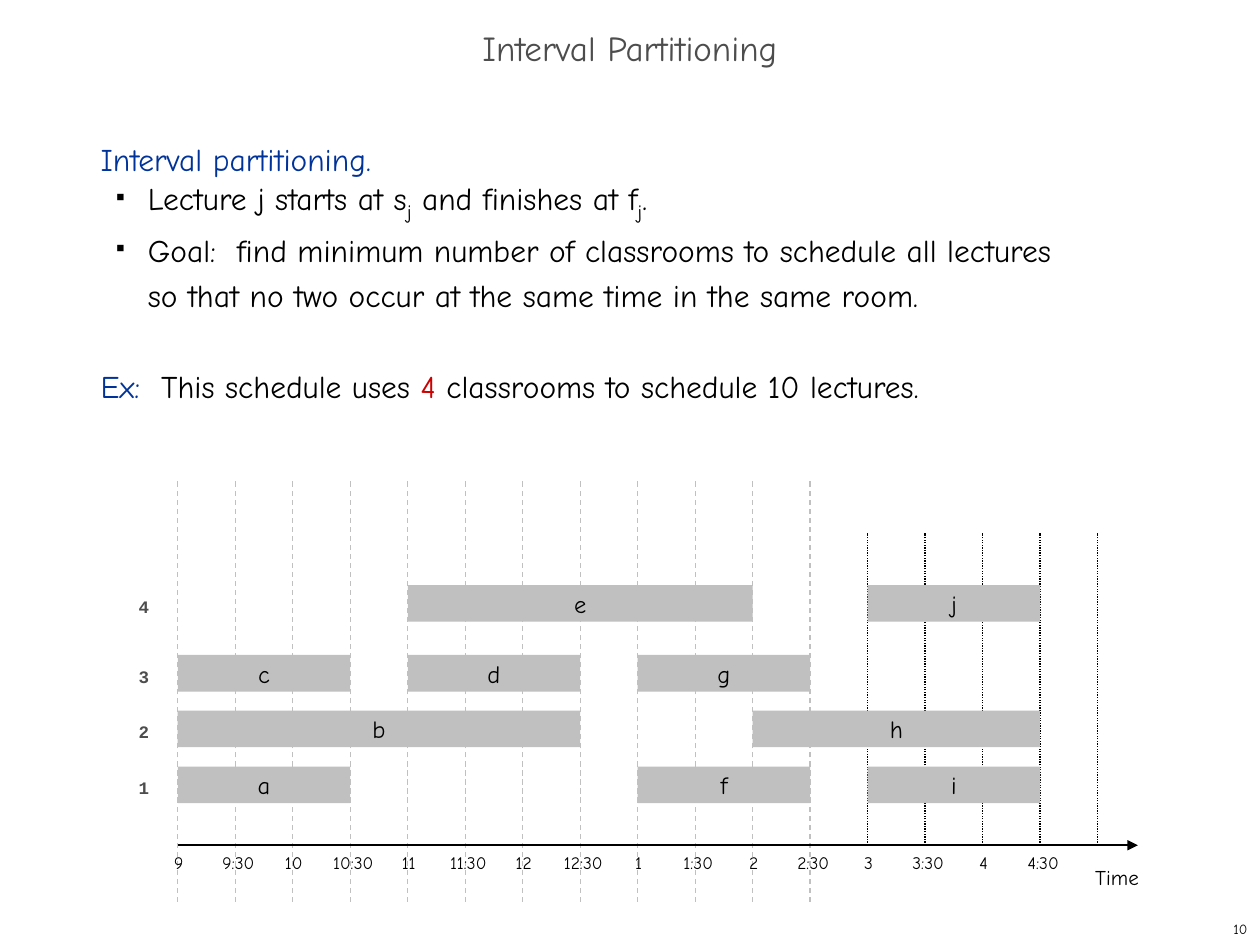
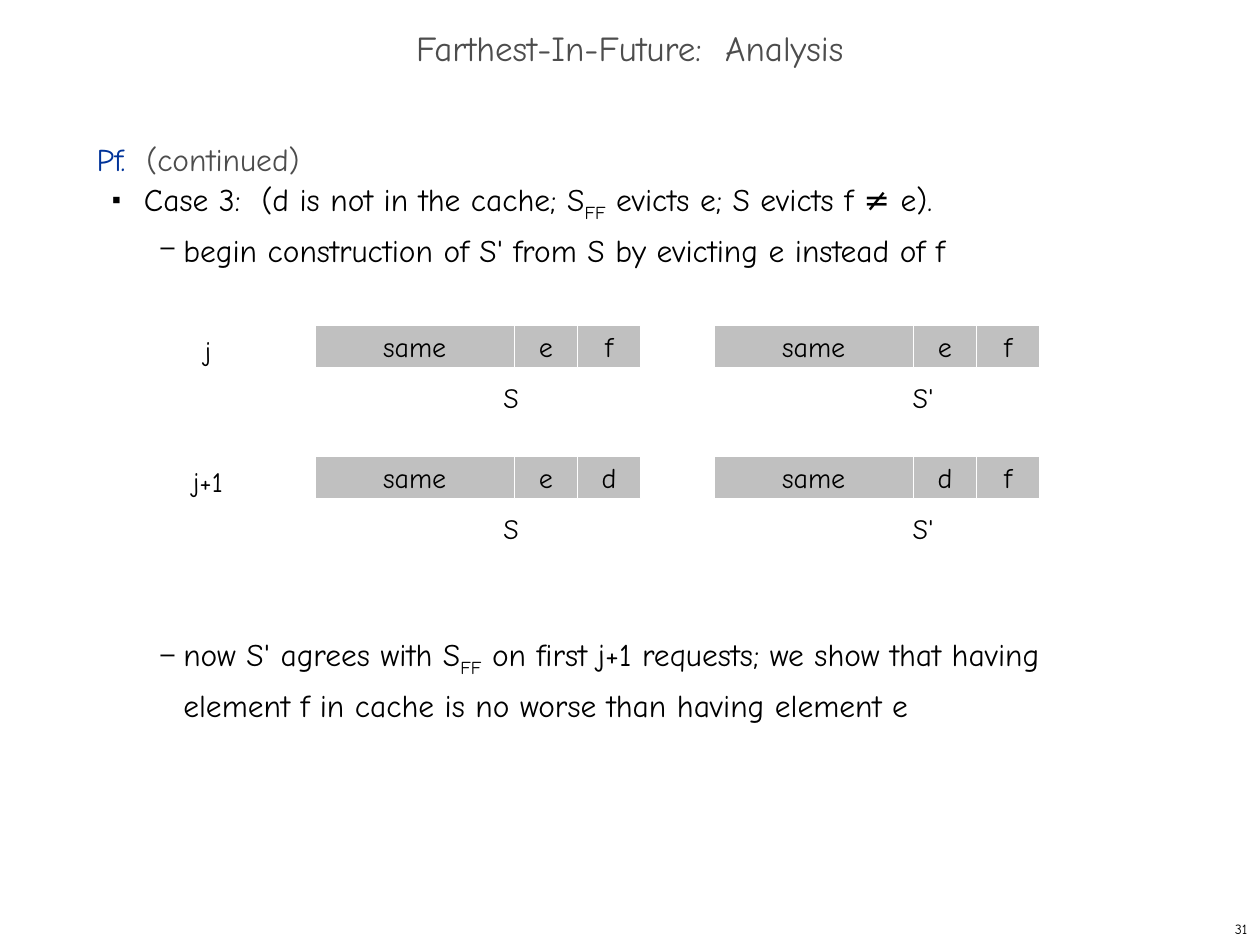
import pptx
import pptx.util
import pptx.dml.color
import pptx.enum.dml
import pptx.enum.shapes
import pptx.enum.text
import pptx.oxml.ns
from lxml import etree

Pt = pptx.util.Pt
RGBColor = pptx.dml.color.RGBColor
ALIGN = pptx.enum.text.PP_ALIGN
ANCHOR = pptx.enum.text.MSO_ANCHOR
DASH = pptx.enum.dml.MSO_LINE
qn = pptx.oxml.ns.qn

BLACK = RGBColor(0x00, 0x00, 0x00)
WHITE = RGBColor(0xFF, 0xFF, 0xFF)
GRAY = RGBColor(0x4D, 0x4D, 0x4D)
SILVER = RGBColor(0xC0, 0xC0, 0xC0)
BLUE = RGBColor(0x00, 0x33, 0x99)
RED = RGBColor(0xCC, 0x00, 0x00)

LINE_PITCH = 26
BULLETS = {1: ("■", 35, 27, -18), 2: ("–", 80, 49.5, -13)}

HOURS = ["9", "10", "11", "12", "1", "2", "3", "4"]
SLOT_WIDTH = 32.85
DASHED_SLOTS = 12
ROOM_TOPS = {4: 59.3, 3: 99.2, 2: 131, 1: 163}
LECTURES = [
    ("a", 1, 0, 3), ("b", 2, 0, 7), ("c", 3, 0, 3), ("d", 3, 4, 7),
    ("e", 4, 4, 10), ("f", 1, 8, 11), ("g", 3, 8, 11), ("h", 2, 10, 15),
    ("i", 1, 12, 15), ("j", 4, 12, 15),
]
CACHE_WIDTHS = (114, 36, 36)


def add_run(paragraph, text, size=18, color=BLACK, font="Comic Neue", bold=False, baseline=0):
    run = paragraph.add_run()
    run.text = text
    run.font.size = Pt(size)
    run.font.name = font
    run.font.bold = bold
    run.font.color.rgb = color
    if baseline:
        run.font._element.set("baseline", str(baseline * 1000))


def text_box(slide, left, top, width, height, wrap=True, anchor=ANCHOR.MIDDLE, fill=None):
    box = slide.shapes.add_textbox(Pt(left), Pt(top), Pt(width), Pt(height))
    if fill is not None:
        box.fill.solid()
        box.fill.fore_color.rgb = fill
    box.text_frame.word_wrap = wrap
    box.text_frame.vertical_anchor = anchor
    return box.text_frame


def label(slide, text, center, top, height, align=ALIGN.CENTER, width=40, fill=None, **style):
    frame = text_box(slide, center - width / 2, top, width, height, wrap=False, fill=fill)
    frame.paragraphs[0].alignment = align
    add_run(frame.paragraphs[0], text, **style)


def block(slide, text, left, top, width, height, size, border=None):
    bar = slide.shapes.add_shape(
        pptx.enum.shapes.MSO_SHAPE.RECTANGLE, Pt(left), Pt(top), Pt(width), Pt(height))
    bar.shadow.inherit = False
    bar.fill.solid()
    bar.fill.fore_color.rgb = SILVER
    if border is None:
        bar.line.fill.background()
    else:
        bar.line.color.rgb = border
        bar.line.width = Pt(0.75)
    frame = bar.text_frame
    frame.word_wrap = False
    frame.vertical_anchor = ANCHOR.MIDDLE
    frame.paragraphs[0].alignment = ALIGN.CENTER
    add_run(frame.paragraphs[0], text, size=size)


def rule(slide, x1, y1, x2, y2, color=BLACK, width=0.75, dash=None, arrow=False):
    line = slide.shapes.add_connector(
        pptx.enum.shapes.MSO_CONNECTOR.STRAIGHT, Pt(x1), Pt(y1), Pt(x2), Pt(y2))
    line.line.color.rgb = color
    line.line.width = Pt(width)
    if dash is not None:
        line.line.dash_style = dash
    if arrow:
        etree.SubElement(line._element.spPr.find(qn("a:ln")), qn("a:tailEnd"), type="triangle")
    etree.SubElement(line._element.spPr, qn("a:effectLst"))


def set_bullet(paragraph, level):
    character, percent, margin, indent = BULLETS[level]
    properties = paragraph._p.get_or_add_pPr()
    properties.set("marL", str(Pt(margin)))
    properties.set("indent", str(Pt(indent)))
    color = etree.SubElement(properties, qn("a:buClr"))
    etree.SubElement(color, qn("a:srgbClr"), val=str(BLACK))
    etree.SubElement(properties, qn("a:buSzPct"), val=str(percent * 1000))
    etree.SubElement(properties, qn("a:buChar"), char=character)


def body(slide, left, paragraphs):
    frame = text_box(slide, left, 72, 618, 426, anchor=ANCHOR.TOP)
    for index, (level, gap_lines, runs) in enumerate(paragraphs):
        paragraph = frame.add_paragraph() if index else frame.paragraphs[0]
        paragraph.line_spacing = Pt(LINE_PITCH)
        if gap_lines:
            paragraph.space_before = Pt(LINE_PITCH * gap_lines)
        if level:
            set_bullet(paragraph, level)
        for text, style in runs:
            for part, line_text in enumerate(text.split("\n")):
                if part:
                    paragraph.add_line_break()
                add_run(paragraph, line_text, **style)


def base_slide(deck, title, number):
    slide = deck.slides.add_slide(deck.slide_layouts[6])
    heading = text_box(slide, 0, 12, 720, 36).paragraphs[0]
    heading.alignment = ALIGN.CENTER
    heading.line_spacing = 0.7
    add_run(heading, title, size=20, color=GRAY)
    label(slide, number, 645, 522, 18, align=ALIGN.RIGHT, width=150, size=8)
    return slide


def schedule(slide, left, top):
    axis = top + 208
    ticks = [left + SLOT_WIDTH * slot for slot in range(2 * len(HOURS) + 1)]
    for x in ticks[:DASHED_SLOTS]:
        rule(slide, x, axis + 32.4, x, top, color=SILVER, dash=DASH.DASH)
    for x in ticks[DASHED_SLOTS:]:
        rule(slide, x, axis, x, top + 29.6, dash=DASH.ROUND_DOT)
    rule(slide, left, axis, left + 548.6, axis, width=1.25, arrow=True)
    for slot, x in enumerate(ticks[:-1]):
        hour, half = HOURS[slot // 2], slot % 2
        label(slide, hour + ":30" * half, x + 0.5 + 1.2 * half, axis, 19.4, size=10)
    label(slide, "Time", left + 536.7, axis + 7.2, 21.6, size=12)
    for lecture, room, start, end in LECTURES:
        block(slide, lecture, ticks[start], top + ROOM_TOPS[room],
              ticks[end] - ticks[start], 21, size=14)
    for room, room_top in ROOM_TOPS.items():
        label(slide, str(room), left - 19.5, top + room_top + 2.5, 19.4, width=20,
              size=10, color=GRAY, font="Courier New", bold=True)


def cache(slide, left, top, contents, owner, owner_offset):
    x = left
    for item, width in zip(contents, CACHE_WIDTHS):
        block(slide, item, x, top, width, 24, size=16, border=WHITE)
        x += width
    label(slide, owner, left + owner_offset, top + 27.5, 26.6, width=28, size=16)


def cache_step(slide, top, step, contents, contents_prime):
    label(slide, step, 118.8, top + 0.9, 26.6, width=32, fill=WHITE, size=16)
    cache(slide, 180, top, contents, "S", 112)
    cache(slide, 408, top, contents_prime, "S'", 119.5)


def interval_partitioning(deck):
    slide = base_slide(deck, "Interval Partitioning", "10")
    subscript = {"size": 20, "baseline": -25}
    body(slide, 50.4, [
        (0, 0, [("Interval partitioning.", {"color": BLUE})]),
        (1, 0, [("Lecture j starts at s", {}), ("j", subscript),
                (" and finishes at f", {}), ("j", subscript), (".", {})]),
        (1, 0, [("Goal:  find minimum number of classrooms to schedule all lectures\n"
                 "so that no two occur at the same time in the same room.", {})]),
        (0, 1, [("Ex:  ", {"color": BLUE}), ("This schedule uses ", {}),
                ("4", {"color": RED}), (" classrooms to schedule 10 lectures.", {})]),
    ])
    schedule(slide, 101.6, 275)


def farthest_in_future(deck):
    slide = base_slide(deck, "Farthest-In-Future:  Analysis", "31")
    subscript = {"baseline": -25}
    body(slide, 48.2, [
        (0, 0, [("Pf.  ", {"color": BLUE}), ("(continued)", {"color": GRAY})]),
        (1, 0, [("Case 3:  (d is not in the cache; S", {}), ("FF", subscript),
                (" evicts e; S evicts f ≠ e).", {})]),
        (2, 0, [("begin construction of S' from S by evicting e instead of f", {})]),
        (2, 8, [("now S' agrees with S", {}), ("FF", subscript),
                (" on first j+1 requests; we show that having element f in cache"
                 " is no worse than having element e", {})]),
    ])
    cache_step(slide, 186, "j", ("same", "e", "f"), ("same", "e", "f"))
    cache_step(slide, 261, "j+1", ("same", "e", "d"), ("same", "d", "f"))


def main():
    deck = pptx.Presentation()
    deck.slide_width = Pt(720)
    deck.slide_height = Pt(540)
    interval_partitioning(deck)
    farthest_in_future(deck)
    deck.save("out.pptx")


if __name__ == "__main__":
    main()
